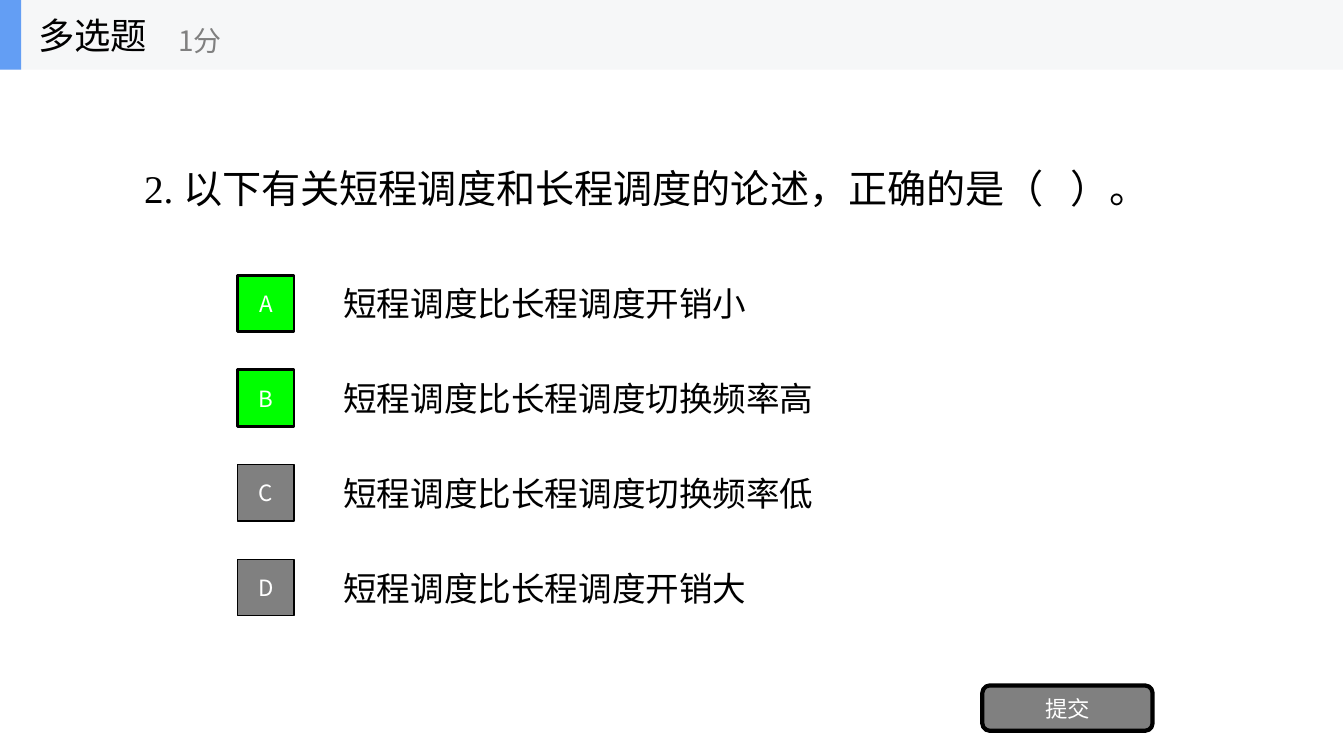
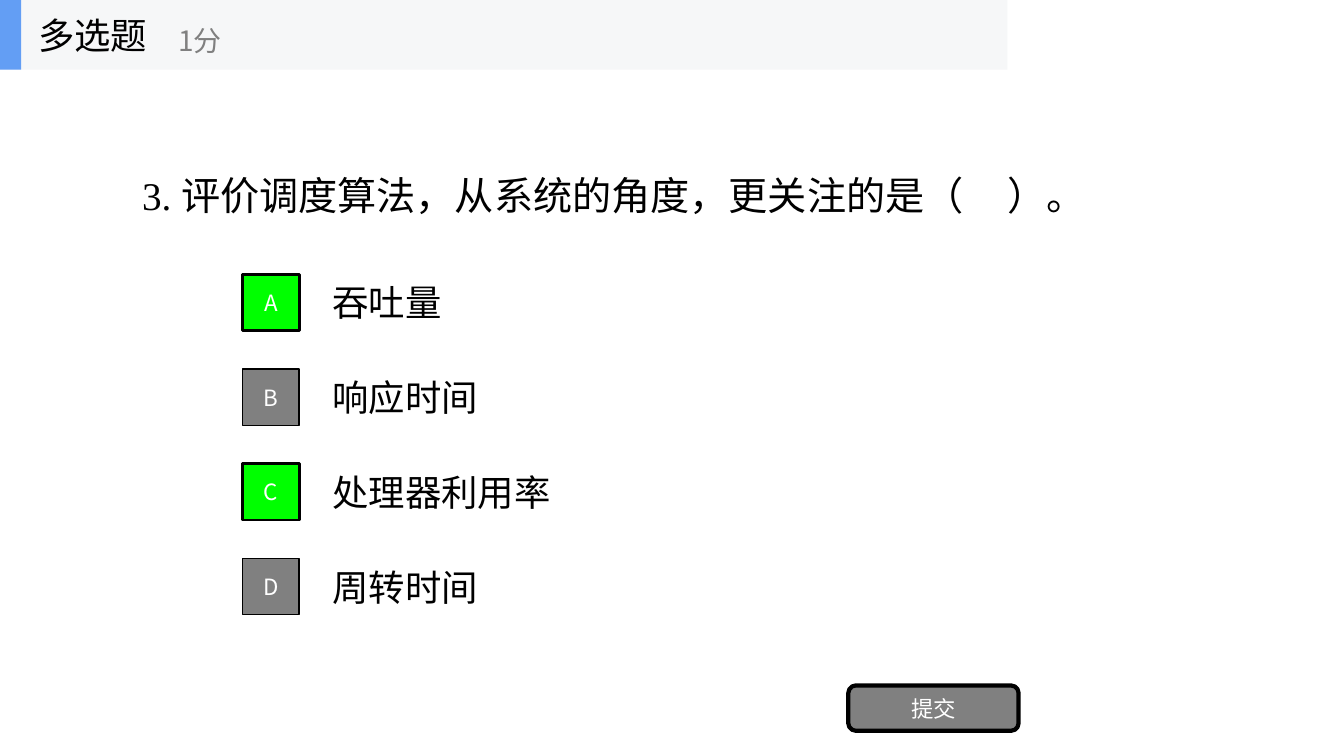
from pptx import Presentation
from pptx.dml.color import RGBColor
from pptx.enum.lang import MSO_LANGUAGE_ID
from pptx.enum.shapes import MSO_SHAPE
from pptx.enum.text import MSO_ANCHOR, MSO_AUTO_SIZE, PP_ALIGN
from pptx.oxml.ns import qn
from pptx.util import Emu, Pt
from lxml import etree

RECT, ROUNDED = MSO_SHAPE.RECTANGLE, MSO_SHAPE.ROUNDED_RECTANGLE
LEFT, CENTER = PP_ALIGN.LEFT, PP_ALIGN.CENTER
MIDDLE, NO_AUTOFIT = MSO_ANCHOR.MIDDLE, MSO_AUTO_SIZE.NONE
CHINESE = MSO_LANGUAGE_ID.SIMPLIFIED_CHINESE

# Content: places are (left, top, width, height) in px, 100 px to the inch
QUESTIONS = [
    {
        "question": "2. 以下有关短程调度和长程调度的论述，正确的是（   ）。",
        "question_at": (133, 69, 1067, 234),
        "options": ["短程调度比长程调度开销小", "短程调度比长程调度切换频率高",
                    "短程调度比长程调度切换频率低", "短程调度比长程调度开销大"],
        "correct": "AB",
        "option_at": (331, 266, 933, 70),
        "option_size": 24,
        "letter_left": 236,
        "submit_left": 975,
        "band_width": 1333,
    },
    {
        "question": "3. 评价调度算法，从系统的角度，更关注的是（     ）。",
        "question_at": (131, 76, 985, 234),
        "options": ["吞吐量", "响应时间", "处理器利用率", "周转时间"],
        "correct": "AC",
        "option_at": (320, 265, 700, 70),
        "option_size": 26,
        "letter_left": 241,
        "submit_left": 842,
        "band_width": 1000,
    },
]
HEADING, SCORE, SUBMIT = "多选题", "1分", "提交"

# Shared style
SANS, SERIF = "Noto Sans CJK SC", "Times New Roman"
BLACK, WHITE, GREY = "000000", "FFFFFF", "808080"
GREEN, BLUE, BAND = "00FF00", "639EF4", "F6F7F8"
PX = 9144
OPTION_PITCH = 94
LETTER_SIDE = 56
BAND_HEIGHT = 69


def px(*lengths):
    return [Emu(length * PX) for length in lengths]


def color(hex_string):
    return RGBColor.from_string(hex_string)


def write(shape, text, size=16, font=SANS, ink=WHITE, align=LEFT):
    frame = shape.text_frame
    frame.word_wrap = True
    frame.auto_size = NO_AUTOFIT
    frame.vertical_anchor = MIDDLE
    paragraph = frame.paragraphs[0]
    paragraph.alignment = align
    run = paragraph.add_run()
    run.text = text
    run.font.size = Pt(size)
    run.font.name = font
    run.font.color.rgb = color(ink)
    run.font.language_id = CHINESE
    # Chinese characters take the sans face whatever the Latin font
    east_asian = etree.SubElement(run.font._element, qn("a:ea"))
    east_asian.set("typeface", SANS)


def add_block(shapes, at, fill, kind=RECT, line_width=0):
    block = shapes.add_shape(kind, *px(*at))
    block.shadow.inherit = False
    block.fill.solid()
    block.fill.fore_color.rgb = color(fill)
    if line_width:
        block.line.color.rgb = color(BLACK)
        block.line.width = Pt(line_width)
    else:
        block.line.fill.background()
    return block


def add_label(shapes, at, text, **text_format):
    write(shapes.add_textbox(*px(*at)), text, **text_format)


def add_header(slide, band_width):
    header = slide.shapes.add_group_shape().shapes
    add_block(header, (0, 0, band_width, BAND_HEIGHT), BAND)
    add_block(header, (0, 0, 21, BAND_HEIGHT), BLUE)
    add_label(header, (28, 0, 208, BAND_HEIGHT), HEADING, size=26, ink=BLACK)
    add_label(header, (167, 12, 250, 56), SCORE, size=20, ink=GREY)


def add_options(slide, item):
    left, first_top, width, height = item["option_at"]
    tops = [first_top + row * OPTION_PITCH for row in range(len(item["options"]))]
    for top, option in zip(tops, item["options"]):
        add_label(slide.shapes, (left, top, width, height), option,
                  size=item["option_size"], font=SERIF, ink=BLACK)
    # Letter boxes, centred on their options; correct ones are green
    inset = (height - LETTER_SIDE) // 2
    for top, letter in zip(tops, "ABCD"):
        is_correct = letter in item["correct"]
        at = (item["letter_left"], top + inset, LETTER_SIDE, LETTER_SIDE)
        box = add_block(slide.shapes, at, GREEN if is_correct else GREY,
                        line_width=2 if is_correct else 1)
        write(box, letter, align=CENTER)


def add_question(deck, item):
    slide = deck.slides.add_slide(deck.slide_layouts[5])
    title = slide.shapes.title
    title.left, title.top, title.width, title.height = px(*item["question_at"])
    write(title, item["question"], size=28, font=SERIF, ink=BLACK)
    add_options(slide, item)
    submit = add_block(slide.shapes, (item["submit_left"], 680, 169, 45), GREY,
                       kind=ROUNDED, line_width=3)
    write(submit, SUBMIT, align=CENTER)
    add_header(slide, item["band_width"])


def main():
    deck = Presentation()
    deck.slide_width, deck.slide_height = px(1334, 750)
    for item in QUESTIONS:
        add_question(deck, item)
    deck.save("out.pptx")


if __name__ == "__main__":
    main()
